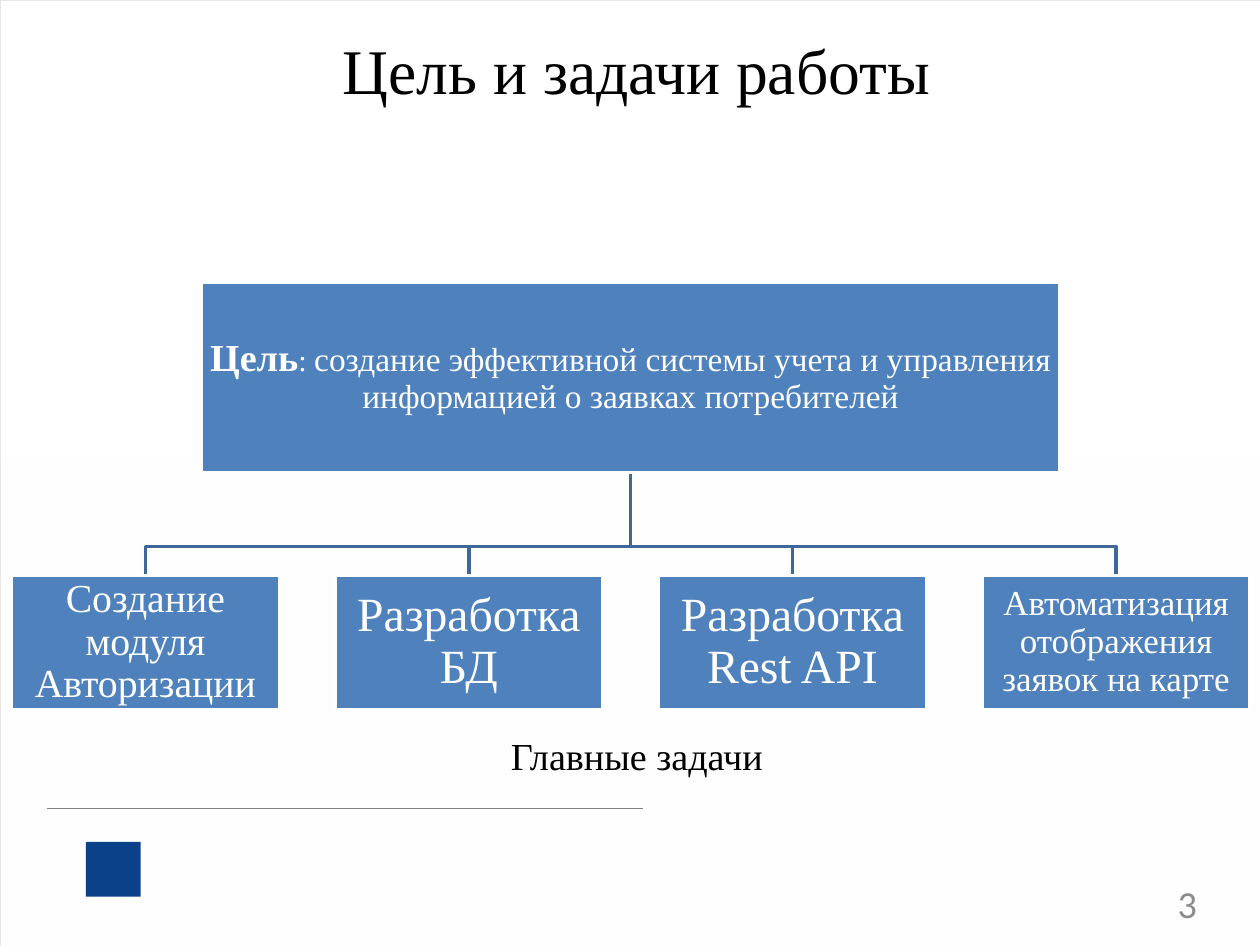
from pptx import Presentation
from pptx.dml.color import RGBColor
from pptx.enum.shapes import MSO_CONNECTOR, MSO_SHAPE
from pptx.enum.text import MSO_ANCHOR, PP_ALIGN
from pptx.util import Inches, Pt
from lxml.etree import SubElement
from pptx.oxml.ns import qn

THEME = {
    "serif": "Times New Roman", "sans": "Calibri",
    "black": "000000", "white": "FFFFFF", "gray": "8C8C8C", "rule": "808080",
    "paper": "FEFEFE", "frame": "E7E7E8", "box": "4F81BD", "branch": "3F6797",
    "emblem": "0A4188",
    "title": 40, "caption": 24, "goal_label": 24, "goal_colon": 19, "goal": 21,
}

presentation = Presentation()
presentation.slide_width, presentation.slide_height = Inches(11.01), Inches(8.27)
slide = presentation.slides.add_slide(presentation.slide_layouts[6])


def at(*shares):
    """Turn percent shares (x, y, x, y ...) into lengths on the slide."""
    sides = (presentation.slide_width, presentation.slide_height)
    return [round(sides[i % 2] * share / 100) for i, share in enumerate(shares)]


def add_box(bounds, runs=(), fill=None, line=None, width=2, color="black",
            font="serif", align=PP_ALIGN.CENTER, inset=0, spacing=1.0):
    """Add a rectangle; each run is (text, size, bold)."""
    shape = slide.shapes.add_shape(MSO_SHAPE.RECTANGLE, *at(*bounds))
    shape.shadow.inherit = False
    if fill:
        shape.fill.solid()
        shape.fill.fore_color.rgb = RGBColor.from_string(THEME[fill])
    else:
        shape.fill.background()
    if line:
        shape.line.color.rgb = RGBColor.from_string(THEME[line])
        shape.line.width = Pt(width)
    else:
        shape.line.fill.background()
    frame = shape.text_frame
    frame_format = {"word_wrap": True, "vertical_anchor": MSO_ANCHOR.MIDDLE}
    for side in ("left", "top", "right", "bottom"):
        frame_format[f"margin_{side}"] = Inches(inset)
    for name, value in frame_format.items():
        setattr(frame, name, value)
    paragraph = frame.paragraphs[0]
    paragraph.alignment, paragraph.line_spacing = align, spacing
    for text, size, bold in runs:
        run = paragraph.add_run()
        run.text = text
        for name, value in {"name": THEME[font], "size": Pt(size), "bold": bold}.items():
            setattr(run.font, name, value)
        run.font.color.rgb = RGBColor.from_string(THEME[color])


# Page background, frame and emblem
add_box((0, 48.73, 100, 51.27), fill="paper")
add_box((0, 0, 100, 100), line="frame", width=0.5)
add_box((6.81, 89, 4.36, 5.8), fill="emblem")

# Footer rule
rule = slide.shapes.add_connector(MSO_CONNECTOR.STRAIGHT, *at(3.72, 85.49, 51.04, 85.49))
rule.line.color.rgb = RGBColor.from_string(THEME["rule"])
rule.line.width = Pt(0.57)
SubElement(rule._element.spPr, qn("a:effectLst"))

# Title and page number
add_box((4.09, 2.06, 92.83, 10.52), [("Цель и задачи работы", THEME["title"], False)],
        fill="white")
add_box((72.03, 92.99, 22.98, 4.96), [("3", THEME["caption"], False)],
        color="gray", font="sans", align=PP_ALIGN.RIGHT)

# Tree grid: one goal above four equally spaced tasks
TASK_LEFT, TASK_PITCH, TASK_WIDTH = 0.91, 25.68, 21.25
TASK_TOP, TASK_HEIGHT = 60.82, 14.15
GOAL_CENTER, GOAL_TOP, GOAL_WIDTH, GOAL_HEIGHT = 50.05, 29.87, 68.12, 20.07
BRANCH_TOP, BRANCH_BAR = GOAL_TOP + GOAL_HEIGHT, 57.8
TASKS = [
    ("Создание модуля Авторизации", 25),
    ("Разработка БД", 30),
    ("Разработка Rest API", 30),
    ("Автоматизация отображения заявок на карте", 22),
]
BOX = {"fill": "box", "line": "white", "color": "white", "inset": 0.02, "spacing": 0.9}

# Branches from the goal to each task
for column in range(len(TASKS)):
    center = TASK_LEFT + column * TASK_PITCH + TASK_WIDTH / 2
    builder = slide.shapes.build_freeform(*at(GOAL_CENTER, BRANCH_TOP))
    corners = [(GOAL_CENTER, BRANCH_BAR), (center, BRANCH_BAR), (center, TASK_TOP)]
    builder.add_line_segments([at(*corner) for corner in corners], close=False)
    branch = builder.convert_to_shape()
    branch.shadow.inherit = False
    branch.fill.background()
    branch.line.color.rgb = RGBColor.from_string(THEME["branch"])
    branch.line.width = Pt(2)

# Goal
add_box((GOAL_CENTER - GOAL_WIDTH / 2, GOAL_TOP, GOAL_WIDTH, GOAL_HEIGHT), [
    ("Цель", THEME["goal_label"], True),
    (": ", THEME["goal_colon"], False),
    ("создание эффективной системы учета и управления информацией о заявках потребителей",
     THEME["goal"], False),
], **BOX)

# Tasks and their caption
for column, (text, size) in enumerate(TASKS):
    left = TASK_LEFT + column * TASK_PITCH
    add_box((left, TASK_TOP, TASK_WIDTH, TASK_HEIGHT), [(text, size, False)], **BOX)
add_box((39.51, 76.78, 22.07, 6.05), [("Главные задачи", THEME["caption"], False)])

presentation.save("out.pptx")
